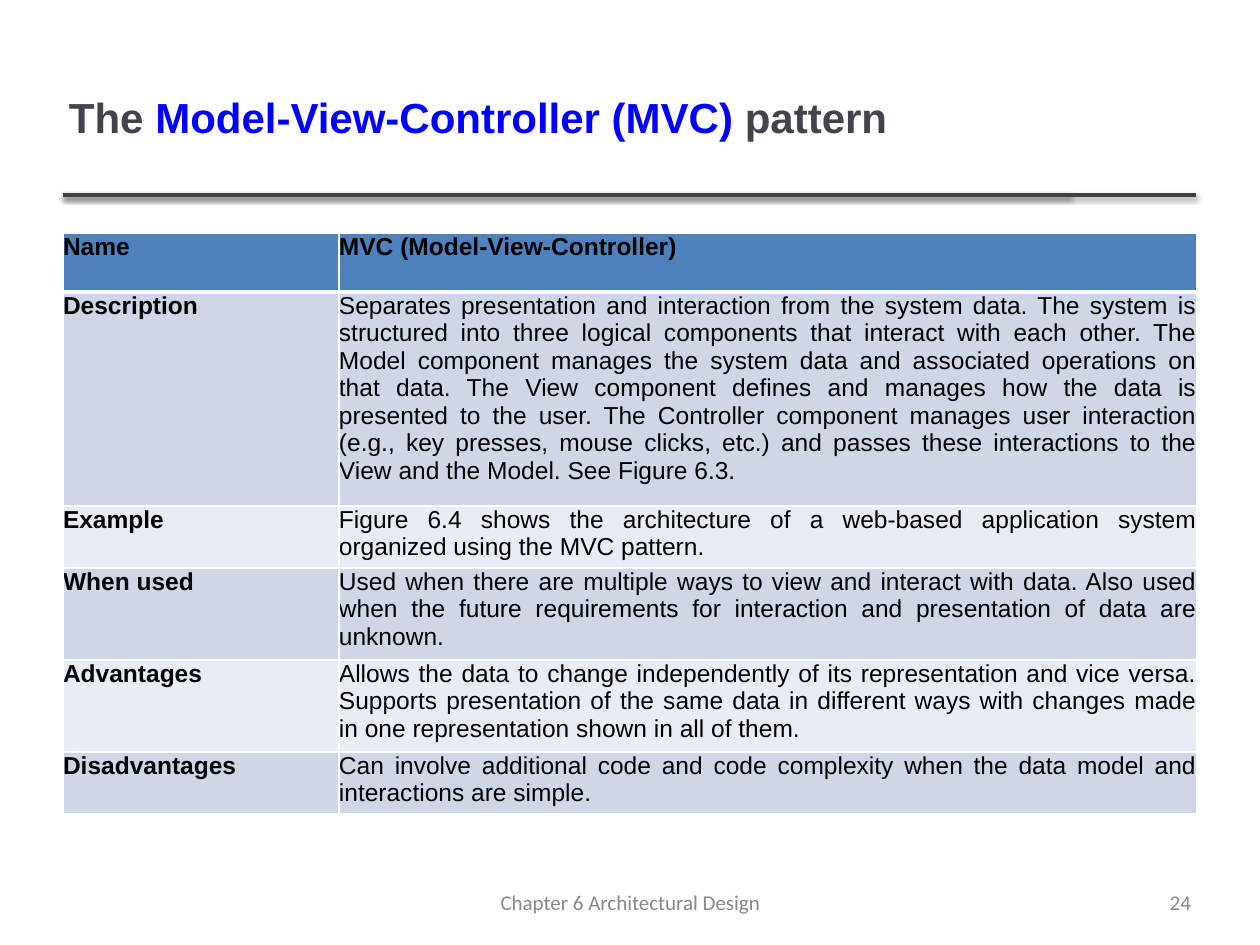
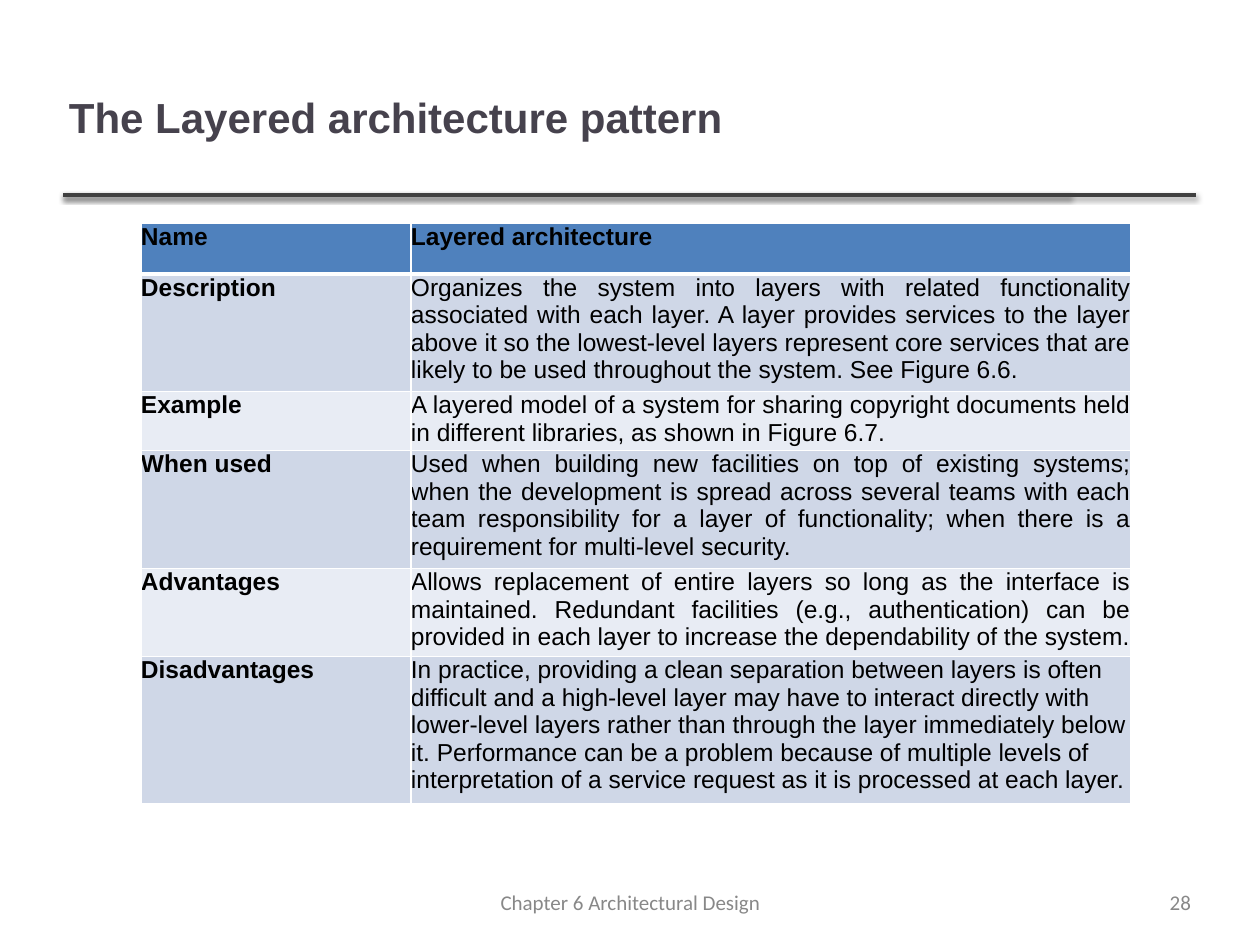
from lxml.etree import SubElement
from pptx import Presentation
from pptx.dml.color import RGBColor
from pptx.enum.shapes import MSO_CONNECTOR
from pptx.enum.text import MSO_ANCHOR, PP_ALIGN
from pptx.oxml import parse_xml
from pptx.oxml.ns import nsdecls, qn
from pptx.util import Emu, Pt

COLORS = {
    "title": "46424D",
    "accent": "0000FF",
    "rule": "404040",
    "footer": "888888",
    "body": "000000",
    "header": "4F81BD",
    "band_dark": "CFD7E7",
    "band_light": "E8ECF4",
    "border": "FFFFFF",
}
SLIDE_BOX = (0, 0, 1260, 945)
FIELDS = ["Name", "Description", "Example", "When used", "Advantages", "Disadvantages"]

MVC = [
    "MVC (Model-View-Controller)",
    "Separates presentation and interaction from the system data. The system is structured "
    "into three logical components that interact with each other. The Model component manages "
    "the system data and associated operations on that data. The View component defines and "
    "manages how the data is presented to the user. The Controller component manages user "
    "interaction (e.g., key presses, mouse clicks, etc.) and passes these interactions to the "
    "View and the Model. See Figure 6.3.",
    "Figure 6.4 shows the architecture of a web-based application system organized using the "
    "MVC pattern.",
    "Used when there are multiple ways to view and interact with data. Also used when the "
    "future requirements for interaction and presentation of data are unknown.",
    "Allows the data to change independently of its representation and vice versa. Supports "
    "presentation of the same data in different ways with changes made in one representation "
    "shown in all of them.",
    "Can involve additional code and code complexity when the data model and interactions are "
    "simple.",
]
LAYERED = [
    "Layered architecture",
    "Organizes the system into layers with related functionality associated with each layer. "
    "A layer provides services to the layer above it so the lowest-level layers represent core "
    "services that are likely to be used throughout the system. See Figure 6.6.",
    "A layered model of a system for sharing copyright documents held in different libraries, "
    "as shown in Figure 6.7.",
    "Used when building new facilities on top of existing systems; when the development is "
    "spread across several teams with each team responsibility for a layer of functionality; "
    "when there is a requirement for multi-level security.",
    "Allows replacement of entire layers so long as the interface is maintained. Redundant "
    "facilities (e.g., authentication) can be provided in each layer to increase the "
    "dependability of the system.",
    "In practice, providing a clean separation between layers is often difficult and a "
    "high-level layer may have to interact directly with lower-level layers rather than "
    "through the layer immediately below it. Performance can be a problem because of multiple "
    "levels of interpretation of a service request as it is processed at each layer.",
]


def px(length):
    """Turn px into EMU."""
    return Emu(round(length * 914400 / 126))


def rgb(name):
    """Look up a named colour."""
    return RGBColor.from_string(COLORS[name])


def write(frame, *runs, size, font="Arial", color="body", bold=False, align=PP_ALIGN.LEFT):
    """Write runs, each a string or a (string, colour) pair, as one paragraph."""
    paragraph = frame.paragraphs[0]
    paragraph.alignment = align
    for part in runs:
        words, tint = (part, color) if isinstance(part, str) else part
        run = paragraph.add_run()
        run.text = words
        run.font.size, run.font.name, run.font.bold = Pt(size), font, bold
        run.font.color.rgb = rgb(tint)


def text_area(slide, box, wrap=True):
    """Add an empty, vertically centred text frame in the box."""
    frame = slide.shapes.add_textbox(*map(px, box)).text_frame
    frame.word_wrap = wrap
    frame.vertical_anchor = MSO_ANCHOR.MIDDLE
    frame.margin_left = frame.margin_right = px(6)
    frame.margin_top = frame.margin_bottom = px(6)
    return frame


def add_rule(slide, left, top, width):
    """Draw a horizontal rule with a soft shadow below it."""
    rule = slide.shapes.add_connector(
        MSO_CONNECTOR.STRAIGHT, px(left), px(top), px(left + width), px(top))
    rule.line.color.rgb = rgb("rule")
    rule.line.width = Pt(2)
    rule._element.spPr.append(parse_xml(
        f'<a:effectLst {nsdecls("a")}>'
        f'<a:outerShdw blurRad="{Pt(3)}" dist="{Pt(1.6)}" dir="5400000" rotWithShape="0">'
        '<a:srgbClr val="000000"><a:alpha val="38000"/></a:srgbClr>'
        '</a:outerShdw></a:effectLst>'))


def add_frame(slide, box, title, page):
    """Place the rules, title, footer and page number shared by all slides."""
    left, top, width, height = box
    for length in (1007, 1133):
        add_rule(slide, left + 63, top + 195, length)
    footer_top = top + height - 60
    footer = {"size": 12, "font": "Calibri", "color": "footer"}
    write(text_area(slide, (left + 437, footer_top, 387, 34)),
          "Chapter 6 Architectural Design", align=PP_ALIGN.CENTER, **footer)
    write(text_area(slide, (left + 63, top + 38, 1006, 157)),
          *title, size=24, color="title", bold=True)
    write(text_area(slide, (left + width - 98, footer_top, 35, 34), wrap=False),
          str(page), align=PP_ALIGN.RIGHT, **footer)


def style_cell(cell, fill, top_line, bottom_line):
    """Give a cell its fill, white borders and zero margins."""
    cell.margin_left = cell.margin_right = cell.margin_top = cell.margin_bottom = 0
    properties = cell._tc.get_or_add_tcPr()
    for side, points in (("L", 1), ("R", 1), ("T", top_line), ("B", bottom_line)):
        border = SubElement(properties, qn(f"a:ln{side}"), w=str(Pt(points)))
        paint = SubElement(border, qn("a:solidFill"))
        SubElement(paint, qn("a:srgbClr"), val=COLORS["border"])
    cell.fill.solid()
    cell.fill.fore_color.rgb = rgb(fill)


def add_pattern_table(slide, left, top, columns, rows, details, last_align):
    """Tabulate the fields of a pattern beside their details."""
    table = slide.shapes.add_table(
        len(rows), len(columns), px(left), px(top), px(sum(columns)), px(sum(rows))).table
    for column, width in zip(table.columns, columns):
        column.width = px(width)
    for index, (height, entry) in enumerate(zip(rows, zip(FIELDS, details))):
        table.rows[index].height = px(height)
        fill = "header" if index == 0 else ("band_light", "band_dark")[index % 2]
        for position, words in enumerate(entry):
            cell = table.cell(index, position)
            style_cell(cell, fill, 3 if index == 1 else 1, 3 if index == 0 else 1)
            is_last = index == len(rows) - 1 and position == 1
            write(cell.text_frame, words, size=14, bold=index == 0 or position == 0,
                  align=last_align if is_last else PP_ALIGN.JUSTIFY)


def add_pattern_slide(deck, title, page, **table):
    """Build a slide that describes one architectural pattern."""
    slide = deck.slides.add_slide(deck.slide_layouts[6])
    add_frame(slide, SLIDE_BOX, title, page)
    add_pattern_table(slide, **table)


def main():
    """Build and save the deck."""
    deck = Presentation()
    deck.slide_width, deck.slide_height = map(px, SLIDE_BOX[2:])
    add_pattern_slide(
        deck, ["The ", ("Model-View-Controller (MVC)", "accent"), " pattern"], 24,
        left=63, top=233, columns=[276, 858], rows=[59, 214, 62, 92, 92, 62],
        details=MVC, last_align=PP_ALIGN.JUSTIFY)
    add_pattern_slide(
        deck, ["The Layered architecture pattern"], 28,
        left=141, top=223, columns=[270, 720], rows=[51] * 6,
        details=LAYERED, last_align=PP_ALIGN.LEFT)
    deck.save("out.pptx")


if __name__ == "__main__":
    main()
